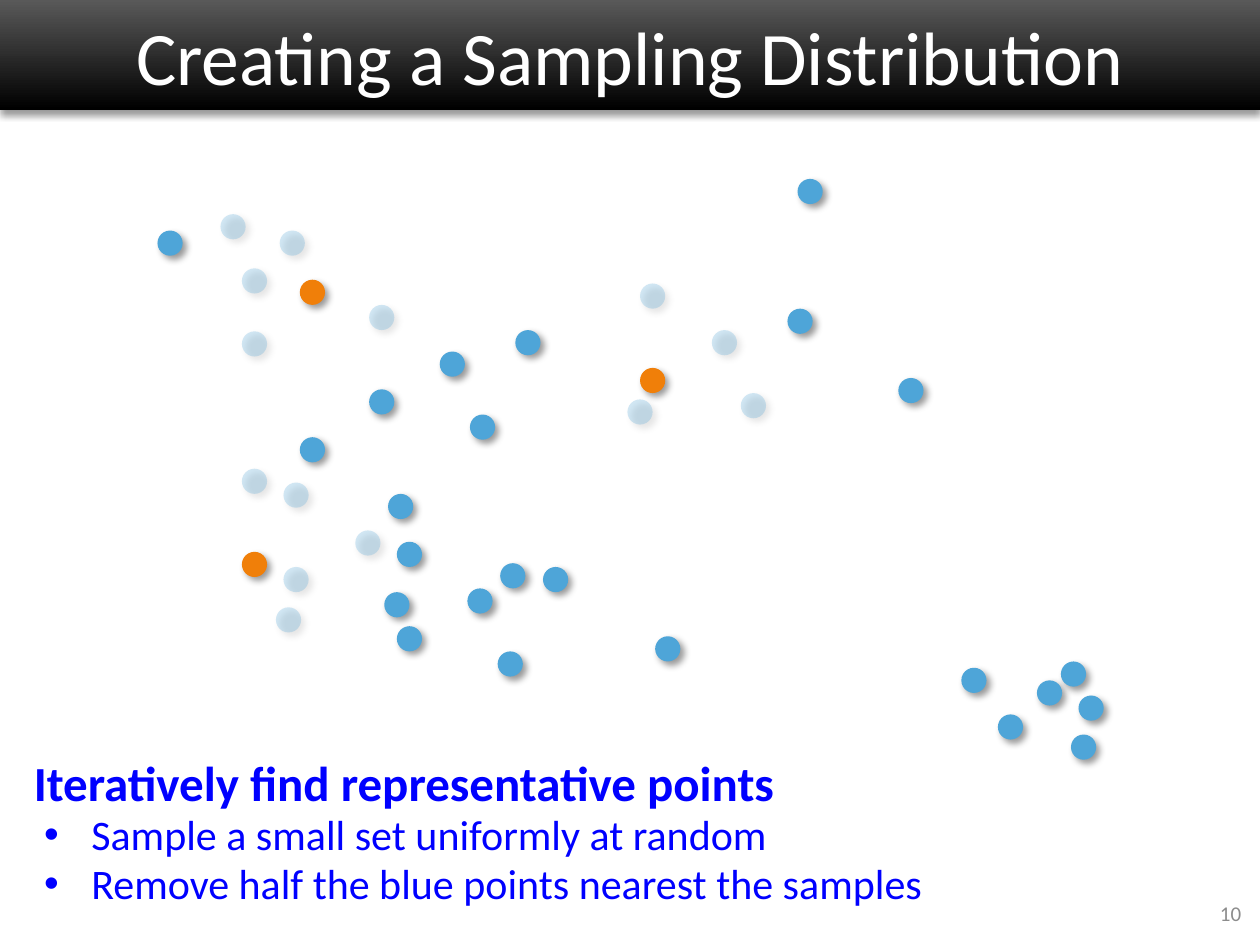
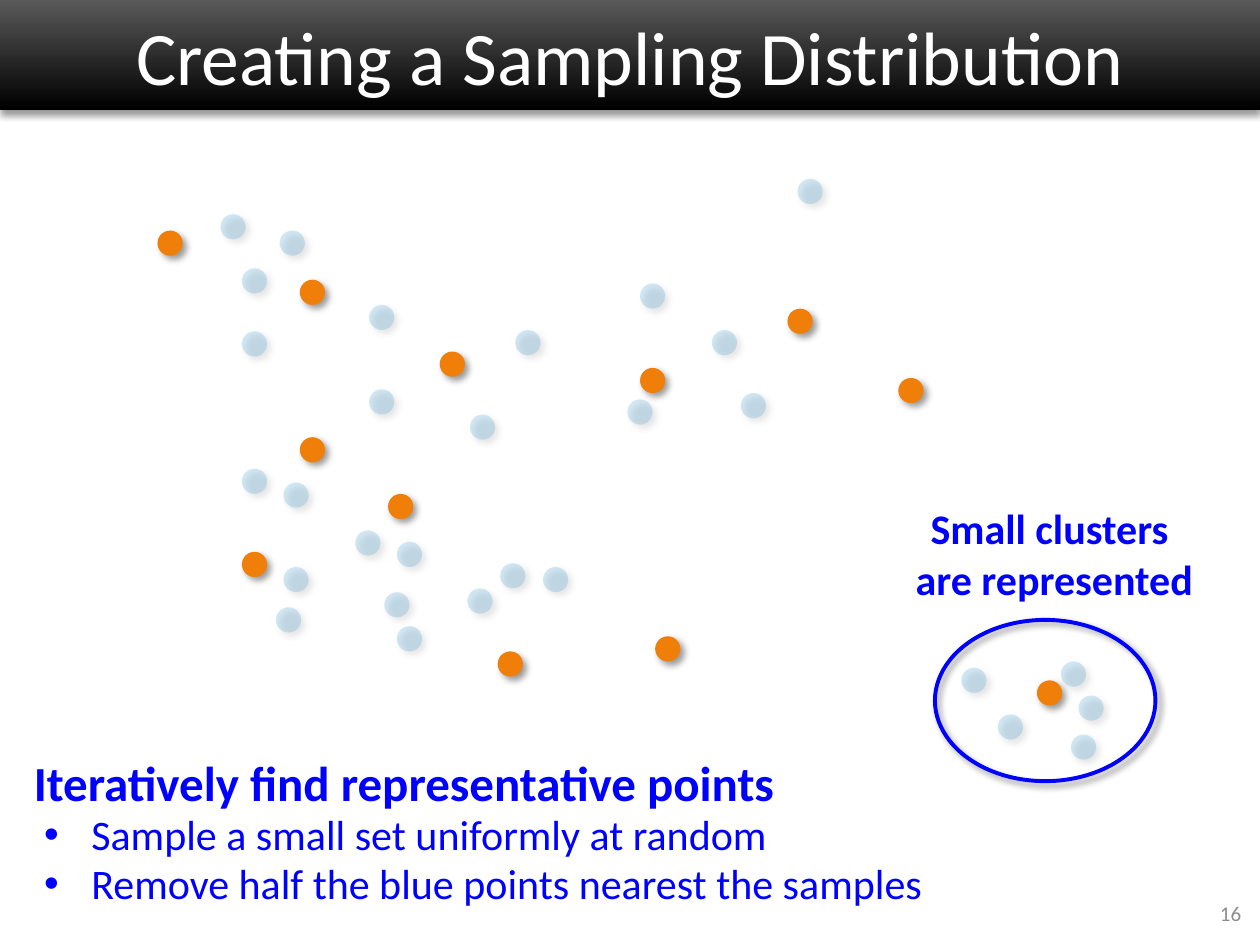
from dataclasses import dataclass

from lxml import etree
from pptx import Presentation
from pptx import util as u
from pptx.dml.color import RGBColor
from pptx.enum import shapes, text
from pptx.oxml.ns import qn

TITLE = "Creating a Sampling Distribution"
HEADING = "Iteratively find representative points"
STEPS = [
    "Sample a small set uniformly at random",
    "Remove half the blue points nearest the samples",
]
CALLOUT = ["Small clusters", " are represented"]

FIRST_SAMPLES = [(238, 222), (192, 438), (508, 292)]
FIRST_REMOVED = [
    (222, 183), (175, 170), (192, 213), (192, 263), (192, 372), (219, 482), (508, 225),
    (565, 262), (588, 312), (225, 383), (282, 421), (225, 450), (293, 242), (498, 317),
]
LATER_SAMPLES = [
    (125, 183), (238, 347), (308, 392), (713, 300), (625, 245),
    (349, 279), (520, 505), (395, 517), (823, 540),
]
LATER_REMOVED = [
    (397, 447), (305, 470), (293, 309), (373, 329), (409, 262),
    (315, 430), (371, 467), (315, 497), (431, 450), (850, 583),
    (856, 552), (633, 142), (763, 530), (792, 567), (842, 525),
]

ROUNDS = [
    {
        "number": "10",
        "removed": FIRST_REMOVED,
        "remaining": LATER_SAMPLES + LATER_REMOVED,
        "samples": FIRST_SAMPLES,
        "callout": [],
    },
    {
        "number": "16",
        "removed": FIRST_REMOVED + LATER_REMOVED,
        "remaining": [],
        "samples": FIRST_SAMPLES + LATER_SAMPLES,
        "callout": CALLOUT,
    },
]


@dataclass(frozen=True)
class Theme:
    font: str = "Calibri"
    band_top: str = "595959"
    band_bottom: str = "000000"
    white: str = "FFFFFF"
    point: str = "4EA5D8"
    sample: str = "F07F09"
    accent: str = "0000FF"
    muted: str = "8C8C8C"
    shadow: str = "000000"
    title_size: float = 43.2
    heading_size: int = 28
    list_size: int = 24
    list_pitch: int = 28
    number_size: int = 12
    faded_alpha: int = 25
    shadow_alpha: int = 40


THEME = Theme()
EMU_PER_PX = 9144
DOT = 20
BAND = (0, 0, 1000, 87)
HEADING_BOX = (17, 592, 717, 57)
LIST_BOX = (25, 638, 767, 89)
NUMBER_BOX = (762, 705, 233, 40)
CALLOUT_BOX = (689, 394, 288, 91)
CLUSTER_RING = (742, 492, 175, 128)


def px(*lengths):
    return [u.Emu(length * EMU_PER_PX) for length in lengths]


def rgb(color):
    return RGBColor.from_string(color)


def set_alpha(color_element, percent):
    etree.SubElement(color_element, qn("a:alpha")).set("val", str(percent * 1000))


def cast_shadow(shape, degrees):
    shape.shadow.inherit = False
    effects = shape.element.spPr.find(qn("a:effectLst"))
    shadow = etree.SubElement(effects, qn("a:outerShdw"))
    settings = {
        "blurRad": u.Pt(4), "dist": u.Pt(3), "dir": degrees * 60000, "rotWithShape": 0,
    }
    for name, value in settings.items():
        shadow.set(name, str(int(value)))
    color = etree.SubElement(shadow, qn("a:srgbClr"))
    color.set("val", THEME.shadow)
    set_alpha(color, THEME.shadow_alpha)


def place(shape, bounds):
    shape.left, shape.top, shape.width, shape.height = px(*bounds)


def write(frame, lines, size, color, align=text.PP_ALIGN.LEFT, bold=False, pitch=None):
    frame.word_wrap = True
    frame.auto_size = text.MSO_AUTO_SIZE.NONE
    for index, line in enumerate(lines):
        para = frame.add_paragraph() if index else frame.paragraphs[0]
        para.alignment = align
        para.space_before = u.Pt(0)
        if pitch:
            para.line_spacing = u.Pt(pitch)
        span = para.add_run()
        span.text = line
        span.font.name = THEME.font
        span.font.size = u.Pt(size)
        span.font.bold = bold
        span.font.color.rgb = rgb(color)


def add_text(page, bounds, *content, **style):
    box = page.shapes.add_textbox(*px(*bounds))
    write(box.text_frame, *content, **style)


def format_title(title):
    place(title, BAND)
    title.fill.gradient()
    title.fill.gradient_angle = 270
    for stop, color in zip(title.fill.gradient_stops, (THEME.band_top, THEME.band_bottom)):
        stop.color.rgb = rgb(color)
    title.line.fill.background()
    cast_shadow(title, 90)
    title.text_frame.vertical_anchor = text.MSO_ANCHOR.MIDDLE
    write(title.text_frame, [TITLE], THEME.title_size, THEME.white, text.PP_ALIGN.CENTER)


def add_dots(page, corners, color, alpha=None):
    for left, top in corners:
        dot = page.shapes.add_shape(shapes.MSO_SHAPE.OVAL, *px(left, top, DOT, DOT))
        dot.fill.solid()
        dot.fill.fore_color.rgb = rgb(color)
        if alpha:
            set_alpha(dot.element.spPr.find(".//" + qn("a:srgbClr")), alpha)
        dot.line.fill.background()
        cast_shadow(dot, 45)


def add_number(page, number):
    box = page.shapes.add_shape(shapes.MSO_SHAPE.RECTANGLE, *px(*NUMBER_BOX))
    box.shadow.inherit = False
    box.fill.solid()
    box.fill.fore_color.rgb = rgb(THEME.white)
    box.line.color.rgb = rgb(THEME.white)
    box.line.width = u.Pt(0.75)
    box.text_frame.vertical_anchor = text.MSO_ANCHOR.MIDDLE
    write(box.text_frame, [number], THEME.number_size, THEME.muted, text.PP_ALIGN.RIGHT)


def add_cluster_callout(page, lines):
    add_text(page, CALLOUT_BOX, lines, THEME.list_size, THEME.accent,
             text.PP_ALIGN.CENTER, bold=True)
    ring = page.shapes.add_shape(shapes.MSO_SHAPE.OVAL, *px(*CLUSTER_RING))
    ring.fill.background()
    ring.line.color.rgb = rgb(THEME.accent)
    ring.line.width = u.Pt(2.25)
    cast_shadow(ring, 45)


def add_round(deck, sampling):
    page = deck.slides.add_slide(deck.slide_layouts[1])
    format_title(page.shapes.title)
    steps = page.placeholders[1]
    place(steps, LIST_BOX)
    write(steps.text_frame, STEPS, THEME.list_size, THEME.accent, pitch=THEME.list_pitch)
    add_dots(page, sampling["removed"], THEME.point, THEME.faded_alpha)
    add_dots(page, sampling["remaining"], THEME.point)
    add_dots(page, sampling["samples"], THEME.sample)
    add_number(page, sampling["number"])
    if sampling["callout"]:
        add_cluster_callout(page, sampling["callout"])
    add_text(page, HEADING_BOX, [HEADING], THEME.heading_size, THEME.accent, bold=True)


def main():
    deck = Presentation()
    deck.slide_width, deck.slide_height = px(1000, 750)
    for sampling in ROUNDS:
        add_round(deck, sampling)
    deck.save("out.pptx")


if __name__ == "__main__":
    main()
